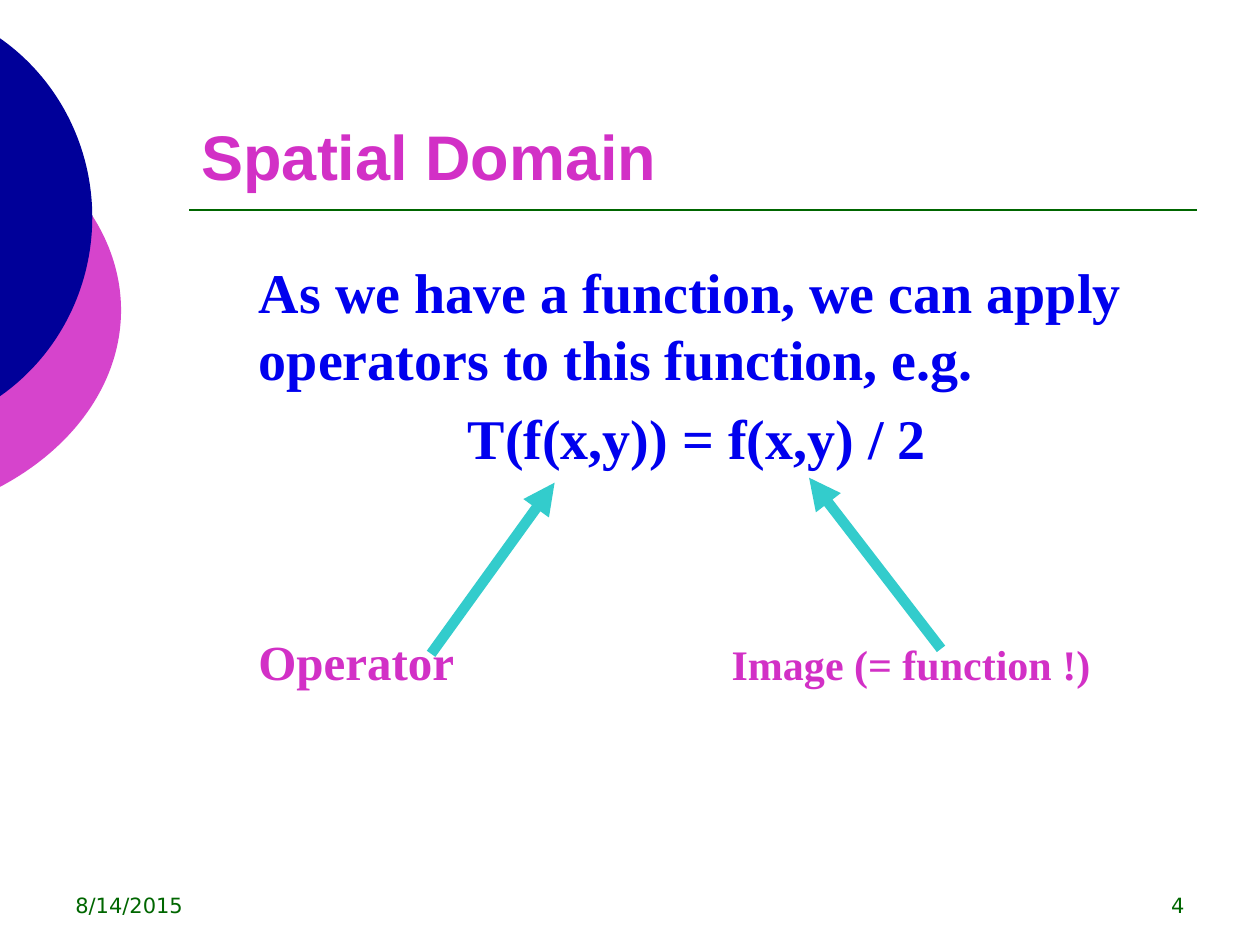
from typing import NamedTuple

import lxml.etree
import pptx
import pptx.dml.color
import pptx.enum.shapes
import pptx.enum.text
import pptx.oxml.ns
import pptx.util

Cm = pptx.util.Cm
Pt = pptx.util.Pt
ALIGN = pptx.enum.text.PP_ALIGN
ANCHOR = pptx.enum.text.MSO_ANCHOR

PINK, ROSE, NAVY, BLUE = "D230C6", "D644CC", "000099", "0000EE"
GREEN, TEAL = "006600", "33CCCC"
SERIF, SANS = "Times New Roman", "DejaVu Sans"


class Disc(NamedTuple):
    box: tuple[float, float, float, float]
    fill: str


class Line(NamedTuple):
    x1: float
    y1: float
    x2: float
    y2: float
    color: str
    width: float
    arrow: bool = False


class Text(NamedTuple):
    lines: list[str]
    box: tuple[float, float, float, float]
    size: float
    color: str
    font: str = SERIF
    bold: bool = True
    align: ALIGN = ALIGN.LEFT
    anchor: ANCHOR = ANCHOR.TOP


DISCS = [
    Disc((-8.99, 1.91, 11.43, 8.69), ROSE),
    Disc((-6.73, 0, 8.59, 8.76), NAVY),
]

LINES = [
    Line(3.81, 4.24, 24.13, 4.24, GREEN, 1),
    Line(8.69, 13.18, 11.18, 9.73, TEAL, 6, True),
    Line(18.97, 13.08, 16.31, 9.63, TEAL, 6, True),
]

TITLE = Text(["Spatial Domain"], (3.81, 0.84, 20.32, 3.18), 36, PINK,
             "Arial", anchor=ANCHOR.BOTTOM)

BODY = Text(["As we have a function, we can apply operators to this function, e.g.",
             "T(f(x,y)) = f(x,y) / 2"],
            (3.81, 5.08, 20.32, 11.43), 32, BLUE)

TEXTS = [
    Text(["Operator"], (4.96, 12.61, 4.6, 1.5), 28, PINK),
    Text(["Image (= function !)"], (14.5, 12.75, 8, 1.4), 24, PINK),
    Text(["8/14/2015"], (1.27, 17.35, 5.92, 1.27), 12, GREEN, SANS, False,
         anchor=ANCHOR.BOTTOM),
    Text(["4"], (18.21, 17.35, 5.92, 1.27), 12, GREEN, SANS, False,
         ALIGN.RIGHT, ANCHOR.BOTTOM),
]


def tint(color: str) -> pptx.dml.color.RGBColor:
    return pptx.dml.color.RGBColor.from_string(color)


def draw_disc(slide, disc: Disc) -> None:
    kind = pptx.enum.shapes.MSO_SHAPE.OVAL
    shape = slide.shapes.add_shape(kind, *map(Cm, disc.box))
    shape.shadow.inherit = False
    shape.fill.solid()
    shape.fill.fore_color.rgb = tint(disc.fill)
    shape.line.fill.background()


def draw_line(slide, line: Line) -> None:
    kind = pptx.enum.shapes.MSO_CONNECTOR.STRAIGHT
    shape = slide.shapes.add_connector(
        kind, Cm(line.x1), Cm(line.y1), Cm(line.x2), Cm(line.y2))
    shape.line.width = Pt(line.width)
    shape.line.fill.solid()
    shape.line.fill.fore_color.rgb = tint(line.color)
    qn = pptx.oxml.ns.qn
    props = shape._element.spPr
    if line.arrow:
        lxml.etree.SubElement(props.find(qn("a:ln")), qn("a:tailEnd"), type="triangle")
    lxml.etree.SubElement(props, qn("a:effectLst"))


def set_text(shape, text: Text) -> None:
    shape.left, shape.top, shape.width, shape.height = map(Cm, text.box)
    frame = shape.text_frame
    frame.text = "\n".join(text.lines)
    frame.word_wrap = True
    frame.auto_size = pptx.enum.text.MSO_AUTO_SIZE.NONE
    frame.vertical_anchor = text.anchor
    for para in frame.paragraphs:
        para.alignment = text.align
        for run in para.runs:
            run.font.name = text.font
            run.font.size = Pt(text.size)
            run.font.bold = text.bold
            run.font.color.rgb = tint(text.color)


def draw_text(slide, text: Text):
    shape = slide.shapes.add_textbox(*map(Cm, text.box))
    set_text(shape, text)
    return shape


def draw_body(slide) -> None:
    paras = draw_text(slide, BODY).text_frame.paragraphs
    for para, left, gap in zip(paras, (1.16, 5.37), (0, 6.4)):
        para._p.get_or_add_pPr().set("marL", str(Cm(left)))
        para.line_spacing = Pt(38.3)
        para.space_before = Pt(gap)


def main() -> None:
    deck = pptx.Presentation()
    deck.slide_width, deck.slide_height = Cm(25.4), Cm(19.05)
    slide = deck.slides.add_slide(deck.slide_layouts[5])
    for disc in DISCS:
        draw_disc(slide, disc)
    set_text(slide.shapes.title, TITLE)
    draw_body(slide)
    for text in TEXTS:
        draw_text(slide, text)
    for line in LINES:
        draw_line(slide, line)
    deck.save("out.pptx")


if __name__ == "__main__":
    main()
